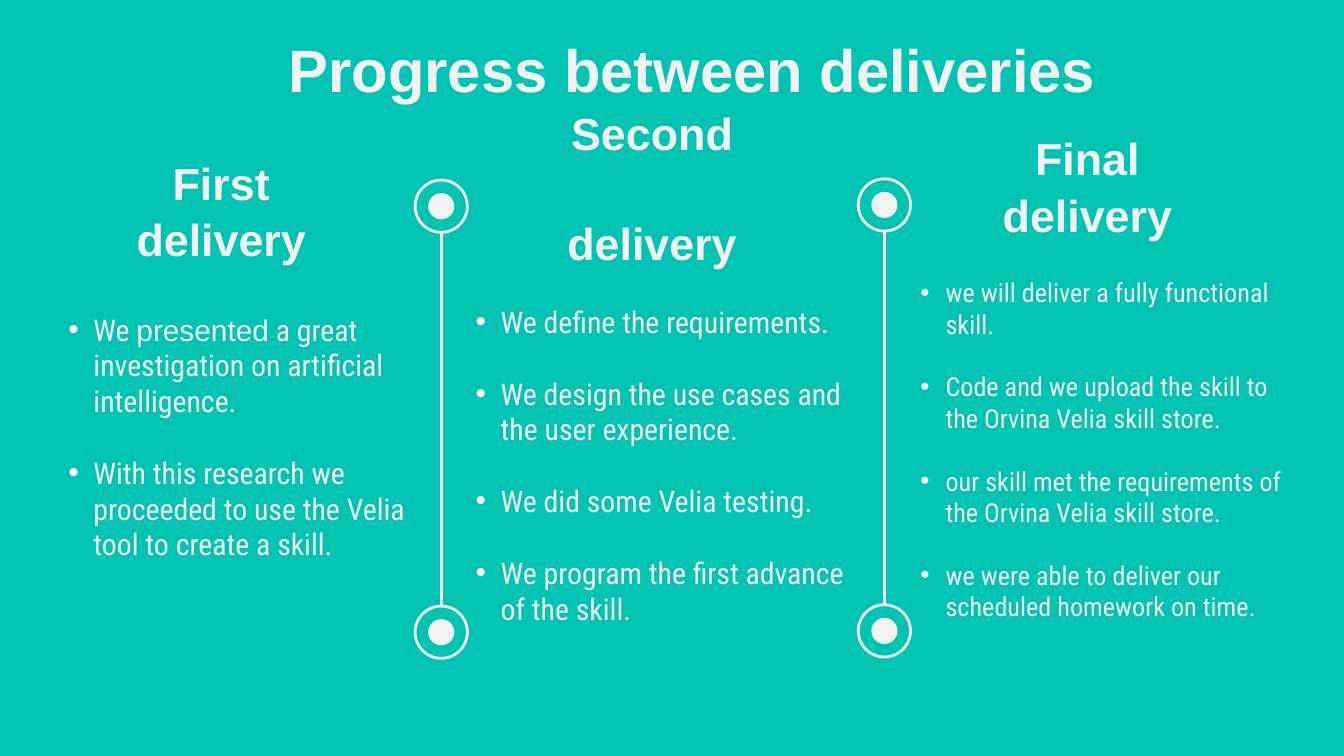
"""Build the slide that compares progress between three deliveries."""
from dataclasses import dataclass

from lxml import etree
from pptx import Presentation
from pptx.dml.color import RGBColor
from pptx.enum.shapes import MSO_CONNECTOR, MSO_SHAPE
from pptx.enum.text import MSO_ANCHOR, PP_ALIGN
from pptx.oxml.ns import qn
from pptx.util import Pt

TEAL = RGBColor(0x00, 0xC3, 0xB1)
PALE = RGBColor(0xF3, 0xF3, 0xF3)
BULLET_COLOR = "FFFFFF"
ELLIPSE = MSO_SHAPE.OVAL
STRAIGHT = MSO_CONNECTOR.STRAIGHT
TOP, MIDDLE = MSO_ANCHOR.TOP, MSO_ANCHOR.MIDDLE
CENTER = PP_ALIGN.CENTER
HEADING_FONT, BODY_FONT = "Arial", "Roboto Condensed"
RING, DOT, RING_STEP = 28, 14, 228.2
LINE_WIDTH, INDENT, INSET = 1.5, 13.5, 7.2


@dataclass(frozen=True)
class Area:
    left: float
    top: float
    width: float
    height: float


@dataclass(frozen=True)
class Insets:
    left: float = INSET
    top: float = INSET
    right: float = INSET
    bottom: float = INSET


@dataclass(frozen=True)
class Span:
    text: str
    font: str = BODY_FONT


@dataclass(frozen=True)
class Delivery:
    ordinal: str
    heading: Area
    heading_gap: float
    body: Area
    insets: Insets
    anchor: MSO_ANCHOR
    size: float
    gap: float
    items: tuple[tuple[Span, ...], ...]


@dataclass(frozen=True)
class Divider:
    center: float
    top: float


FLAT = Insets(top=3.6, bottom=3.6)
DELIVERIES = (
    Delivery(
        "First", Area(47.5, 87.1, 148.3, 49.7), 0,
        Area(29.5, 118.1, 196.6, 212.4), Insets(top=26.4), MIDDLE, 16, 19.2,
        (
            (
                Span("We "),
                Span("presented", HEADING_FONT),
                Span(" a great investigation on artificial intelligence."),
            ),
            (Span("With this research we proceeded to use the Velia tool to create a skill."),),
        ),
    ),
    Delivery(
        "Second", Area(294.5, 74.9, 115.9, 49.7), 29,
        Area(247.7, 159.1, 221, 181.4), FLAT, TOP, 16, 19.2,
        (
            (Span("We define the requirements."),),
            (Span("We design the use cases and the user experience."),),
            (Span("We did some Velia testing."),),
            (Span("We program the first advance of the skill."),),
        ),
    ),
    Delivery(
        "Final", Area(494.6, 74.2, 182.2, 49.7), 0,
        Area(486, 144.7, 218.2, 193.7), FLAT, TOP, 14, 16.8,
        (
            (Span("we will deliver a fully functional skill."),),
            (Span("Code and we upload the skill to the Orvina Velia skill store."),),
            (Span("our skill met the requirements of the Orvina Velia skill store."),),
            (Span("we were able to deliver our scheduled homework on time."),),
        ),
    ),
)
DIVIDERS = (Divider(236.4, 96.5), Divider(473.8, 95.8))


def add_text_frame(page, area: Area, insets: Insets, anchor: MSO_ANCHOR):
    """Add a wrapping text box and return its text frame."""
    box = page.shapes.add_textbox(
        Pt(area.left), Pt(area.top), Pt(area.width), Pt(area.height)
    )
    frame = box.text_frame
    frame.word_wrap = True
    frame.vertical_anchor = anchor
    frame.margin_left, frame.margin_top = Pt(insets.left), Pt(insets.top)
    frame.margin_right, frame.margin_bottom = Pt(insets.right), Pt(insets.bottom)
    return frame


def next_paragraph(frame, index: int, gap: float):
    """Return the paragraph at the index, with a gap after the first one."""
    if index == 0:
        return frame.paragraphs[0]
    para = frame.add_paragraph()
    para.space_before = Pt(gap)
    return para


def add_heading(page, area: Area, insets: Insets, anchor: MSO_ANCHOR,
                lines: tuple[str, ...], size: float, gap: float = 0) -> None:
    """Add centred bold lines."""
    frame = add_text_frame(page, area, insets, anchor)
    for index, line in enumerate(lines):
        para = next_paragraph(frame, index, gap)
        para.text = line
        para.alignment = CENTER
        para.line_spacing = 1.05
        para.font.name, para.font.size = HEADING_FONT, Pt(size)
        para.font.bold = True
        para.font.color.rgb = PALE


def add_bullet(para) -> None:
    """Give a paragraph a hanging round bullet."""
    properties = para._p.get_or_add_pPr()
    properties.set("marL", str(Pt(INDENT)))
    properties.set("indent", str(-Pt(INDENT)))
    color = etree.SubElement(properties, qn("a:buClr"))
    etree.SubElement(color, qn("a:srgbClr"), val=BULLET_COLOR)
    etree.SubElement(properties, qn("a:buFont"), typeface="Arial")
    etree.SubElement(properties, qn("a:buChar"), char="•")


def add_delivery(page, delivery: Delivery) -> None:
    """Add the heading and bullet list of one delivery."""
    add_heading(page, delivery.heading, Insets(left=0.8), MIDDLE,
                (delivery.ordinal, "delivery"), 24, delivery.heading_gap)
    frame = add_text_frame(page, delivery.body, delivery.insets, delivery.anchor)
    for index, item in enumerate(delivery.items):
        para = next_paragraph(frame, index, delivery.gap)
        add_bullet(para)
        para.font.size = Pt(delivery.size)
        para.font.color.rgb = PALE
        if len(item) == 1:
            para.font.name = item[0].font
        for span in item:
            run = para.add_run()
            run.text = span.text
            if len(item) > 1:
                run.font.name = span.font


def add_circle(page, center: float, middle: float, size: float, filled: bool) -> None:
    """Add a filled dot or an outlined ring around a point."""
    circle = page.shapes.add_shape(
        ELLIPSE, Pt(center - size / 2), Pt(middle - size / 2), Pt(size), Pt(size)
    )
    circle.shadow.inherit = False
    if filled:
        circle.fill.solid()
        circle.fill.fore_color.rgb = PALE
        circle.line.fill.background()
    else:
        circle.fill.background()
        circle.line.color.rgb = PALE
        circle.line.width = Pt(LINE_WIDTH)


def add_divider(page, divider: Divider) -> None:
    """Add a vertical line with a ringed dot at each end."""
    upper = divider.top + RING / 2
    lower = upper + RING_STEP
    for middle in (upper, lower):
        add_circle(page, divider.center, middle, RING, False)
        add_circle(page, divider.center, middle, DOT, True)
    line = page.shapes.add_connector(
        STRAIGHT, Pt(divider.center), Pt(upper + RING / 2),
        Pt(divider.center), Pt(lower - RING / 2),
    )
    line.line.color.rgb = PALE
    line.line.width = Pt(LINE_WIDTH)
    etree.SubElement(line._element.spPr, qn("a:effectLst"))


def main() -> None:
    """Create and save the deck."""
    deck = Presentation()
    deck.slide_width, deck.slide_height = Pt(720), Pt(405)
    page = deck.slides.add_slide(deck.slide_layouts[6])
    page.background.fill.solid()
    page.background.fill.fore_color.rgb = TEAL
    add_heading(page, Area(77, 6.5, 588.2, 49.7), Insets(top=9.4), TOP,
                ("Progress between deliveries",), 32)
    for divider in DIVIDERS:
        add_divider(page, divider)
    for delivery in DELIVERIES:
        add_delivery(page, delivery)
    deck.save("out.pptx")


if __name__ == "__main__":
    main()
